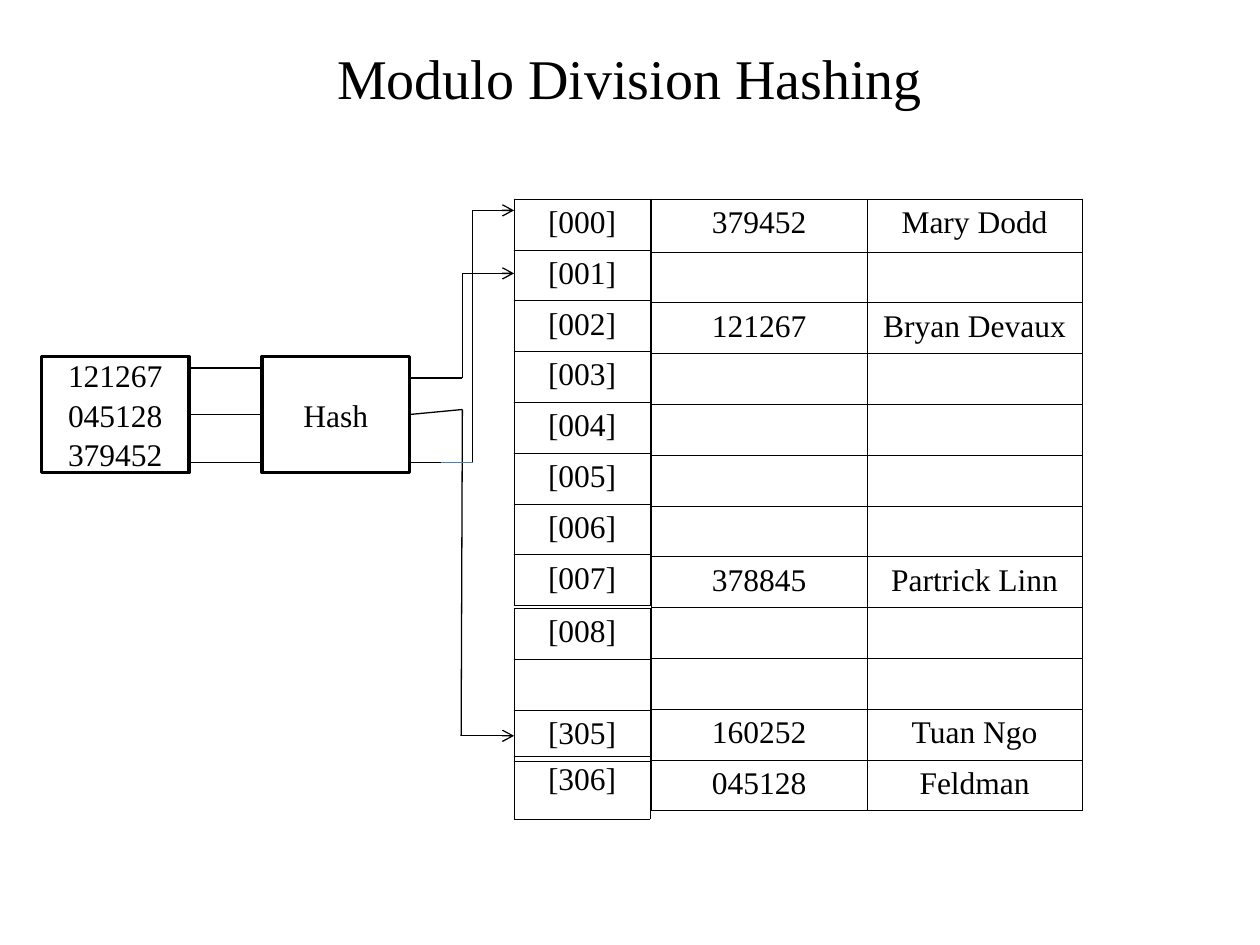
import pptx
import pptx.util
import pptx.dml.color
import pptx.enum.shapes
import pptx.enum.text
import pptx.oxml
import pptx.oxml.ns
from lxml import etree

Inches, Pt = pptx.util.Inches, pptx.util.Pt
BLACK = pptx.dml.color.RGBColor(0x00, 0x00, 0x00)
WHITE = pptx.dml.color.RGBColor(0xFF, 0xFF, 0xFF)
BLUE = pptx.dml.color.RGBColor(0x4A, 0x7E, 0xBB)
FONT = "Times New Roman"
ROW = 1.21 / 3

TITLE = "Modulo Division Hashing"
KEYS = ["121267", "045128", "379452"]
BOXES = [(2.08, ["Hash"]), (0.33, KEYS)]
BOX_TOP, BOX_WIDTH, BOX_HEIGHT = 2.83, 1.17, 0.92

ADDRESSES = [[f"[{number:03}]"] for number in range(8)]
RECORDS = [
    ("379452", "Mary Dodd"),
    ("", ""),
    ("121267", "Bryan Devaux"),
    ("", ""),
    ("", ""),
    ("", ""),
    ("", ""),
    ("378845", "Partrick Linn"),
    ("", ""),
    ("", ""),
    ("160252", "Tuan Ngo"),
    ("045128", "Feldman"),
]
TABLES = [
    (4.08, 1.58, 1.08, [ROW] * 8, ADDRESSES),
    (4.08, 4.83, 1.08, [ROW] * 3, [["[008]"], [""], ["[305]"]]),
    (5.17, 1.58, 1.71, [0.42] + [ROW] * 11, RECORDS),
    (4.08, 6.0, 1.08, [0.5], [["[306]"]]),
]

INPUT_LEVELS = [2.92, 3.29, 3.67]
ROUTES = [
    [(3.25, 3.0), (3.67, 3.0), (3.67, 2.17), (4.08, 2.17)],
    [(3.25, 3.29), (3.67, 3.25), (3.66, 5.84), (4.08, 5.84)],
    [(3.25, 3.67), (3.5, 3.67), (3.75, 3.67), (3.75, 1.67), (4.08, 1.67)],
]
BLUE_SEGMENT = ((3.5, 3.67), (3.75, 3.67))


def write_text(text_frame, lines, size):
    for index, line in enumerate(lines):
        paragraph = text_frame.paragraphs[0] if index == 0 else text_frame.add_paragraph()
        paragraph.alignment = pptx.enum.text.PP_ALIGN.CENTER
        if index:
            paragraph.space_before = Pt(1)
        run = paragraph.add_run()
        run.text = line
        run.font.size = Pt(size)
        run.font.name = FONT
        run.font.bold = False
        run.font.color.rgb = BLACK


def add_title(slide):
    title = slide.shapes.add_textbox(Inches(0.5), Inches(0.3), Inches(9), Inches(0.62))
    title.text_frame.word_wrap = True
    title.text_frame.vertical_anchor = pptx.enum.text.MSO_ANCHOR.MIDDLE
    write_text(title.text_frame, [TITLE], 32)


def add_box(slide, left, lines):
    box = slide.shapes.add_shape(
        pptx.enum.shapes.MSO_SHAPE.RECTANGLE,
        Inches(left), Inches(BOX_TOP), Inches(BOX_WIDTH), Inches(BOX_HEIGHT),
    )
    box.shadow.inherit = False
    box.fill.solid()
    box.fill.fore_color.rgb = WHITE
    box.line.color.rgb = BLACK
    box.line.width = Pt(2)
    box.text_frame.word_wrap = True
    box.text_frame.vertical_anchor = pptx.enum.text.MSO_ANCHOR.MIDDLE
    write_text(box.text_frame, lines, 18)


def add_line(slide, start, end, color=BLACK, arrow=False):
    line = slide.shapes.add_connector(
        pptx.enum.shapes.MSO_CONNECTOR.STRAIGHT, *map(Inches, start + end)
    )
    line.line.color.rgb = color
    line.line.width = Pt(0.75)
    if arrow:
        tail = etree.SubElement(line.line._get_or_add_ln(), pptx.oxml.ns.qn("a:tailEnd"))
        tail.set("type", "arrow")
    etree.SubElement(line._element.spPr, pptx.oxml.ns.qn("a:effectLst"))


def add_borders(cell):
    properties = cell._tc.get_or_add_tcPr()
    for position, side in enumerate(("lnL", "lnR", "lnT", "lnB")):
        border = pptx.oxml.parse_xml(
            f'<a:{side} {pptx.oxml.ns.nsdecls("a")} w="{Pt(0.45)}">'
            f'<a:solidFill><a:srgbClr val="{BLACK}"/></a:solidFill></a:{side}>'
        )
        properties.insert(position, border)


def add_table(slide, left, top, column_width, heights, rows):
    columns = len(rows[0])
    table = slide.shapes.add_table(
        len(rows), columns, Inches(left), Inches(top),
        Inches(column_width * columns), Inches(sum(heights)),
    ).table
    table.first_row = False
    table.horz_banding = False
    for column in table.columns:
        column.width = Inches(column_width)
    for row, height, values in zip(table.rows, heights, rows):
        row.height = Inches(height)
        for cell, value in zip(row.cells, values):
            cell.fill.background()
            add_borders(cell)
            if value:
                write_text(cell.text_frame, [value], 18)
            else:
                cell.margin_top = cell.margin_bottom = 0


def main():
    presentation = pptx.Presentation()
    presentation.slide_width = Inches(10)
    presentation.slide_height = Inches(7.5)
    slide = presentation.slides.add_slide(presentation.slide_layouts[6])
    add_title(slide)
    for left, lines in BOXES:
        add_box(slide, left, lines)
    for level in INPUT_LEVELS:
        add_line(slide, (1.5, level), (2.08, level))
    for table in TABLES:
        add_table(slide, *table)
    for route in ROUTES:
        for segment in zip(route, route[1:]):
            color = BLUE if segment == BLUE_SEGMENT else BLACK
            add_line(slide, *segment, color, arrow=segment[1] == route[-1])
    presentation.save("out.pptx")


if __name__ == "__main__":
    main()
